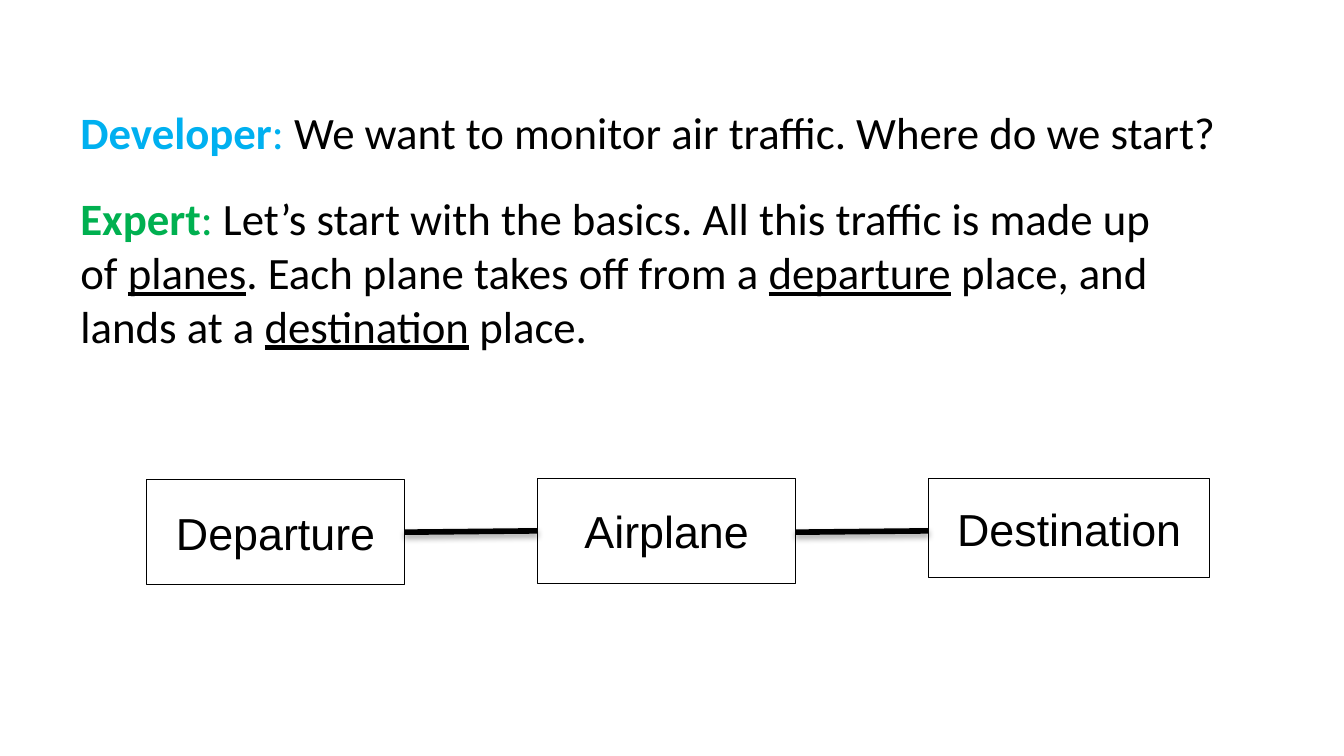
from pptx import Presentation
from pptx.dml.color import RGBColor
from pptx.enum.shapes import MSO_CONNECTOR, MSO_SHAPE
from pptx.enum.text import MSO_ANCHOR, PP_ALIGN
from pptx.oxml import parse_xml
from pptx.util import Inches, Pt

RECT = MSO_SHAPE.RECTANGLE
STRAIGHT = MSO_CONNECTOR.STRAIGHT
MIDDLE = MSO_ANCHOR.MIDDLE
CENTER = PP_ALIGN.CENTER

BLACK, BLUE, GREEN = "000000", "00B0F0", "00B050"
LINE_SHADOW = (
    '<a:effectLst xmlns:a="http://schemas.openxmlformats.org/drawingml/2006/main">'
    '<a:outerShdw blurRad="40000" dist="23000" dir="5400000" rotWithShape="0">'
    '<a:srgbClr val="000000"><a:alpha val="35000"/></a:srgbClr>'
    '</a:outerShdw></a:effectLst>'
)


def rgb(value):
    return RGBColor.from_string(value)


def add_run(p, text, font="Calibri", color=BLACK, bold=False, underline=False):
    r = p.add_run()
    r.text = text
    r.font.name = font
    r.font.size = Pt(24)
    r.font.bold = bold
    r.font.underline = underline
    r.font.color.rgb = rgb(color)


prs = Presentation()
prs.slide_width = Inches(10)
prs.slide_height = Inches(10 * 9 / 16)
s = prs.slides.add_slide(prs.slide_layouts[6])

# Dialogue: speaker, colour, box, and lines whose odd pieces are underlined
dialogue = [
    ("Developer", BLUE, (0.5, 0.73, 9.11, 0.5),
     [["We want to monitor air traffic. Where do we start?"]]),
    ("Expert", GREEN, (0.5, 1.37, 8.93, 1.72),
     [["Let’s start with the basics. All this traffic is made up"],
      ["of ", "planes", ". Each plane takes off from a ", "departure", " place, and"],
      ["lands at a ", "destination", " place."]]),
]
for speaker, color, box, lines in dialogue:
    tf = s.shapes.add_textbox(*map(Inches, box)).text_frame
    tf.word_wrap = True
    for i, pieces in enumerate(lines):
        if i == 0:
            p = tf.paragraphs[0]
            add_run(p, speaker, color=color, bold=True)
            add_run(p, ": ", color=color)
        else:
            p = tf.add_paragraph()
        for j, piece in enumerate(pieces):
            add_run(p, piece, underline=j % 2 == 1)

# Class boxes
classes = [
    ("Departure", 1.09, 3.57, 1.92, 0.78),
    ("Airplane", 4, 3.56, 1.92, 0.78),
    ("Destination", 6.91, 3.56, 2.09, 0.74),
]
for name, *box in classes:
    sp = s.shapes.add_shape(RECT, *map(Inches, box))
    sp.shadow.inherit = False
    sp.fill.background()
    sp.line.color.rgb = rgb(BLACK)
    sp.line.width = Pt(0.75)
    tf = sp.text_frame
    tf.vertical_anchor = MIDDLE
    p = tf.paragraphs[0]
    p.alignment = CENTER
    add_run(p, name, font="Arial")

# Associations between neighbouring boxes
for (_, x, _, w, _), (_, next_x, *_) in zip(classes, classes[1:]):
    link = s.shapes.add_connector(
        STRAIGHT, Inches(x + w), Inches(3.96), Inches(next_x), Inches(3.95))
    link.line.color.rgb = rgb(BLACK)
    link.line.width = Pt(3)
    link.element.spPr.append(parse_xml(LINE_SHADOW))

prs.save("out.pptx")
